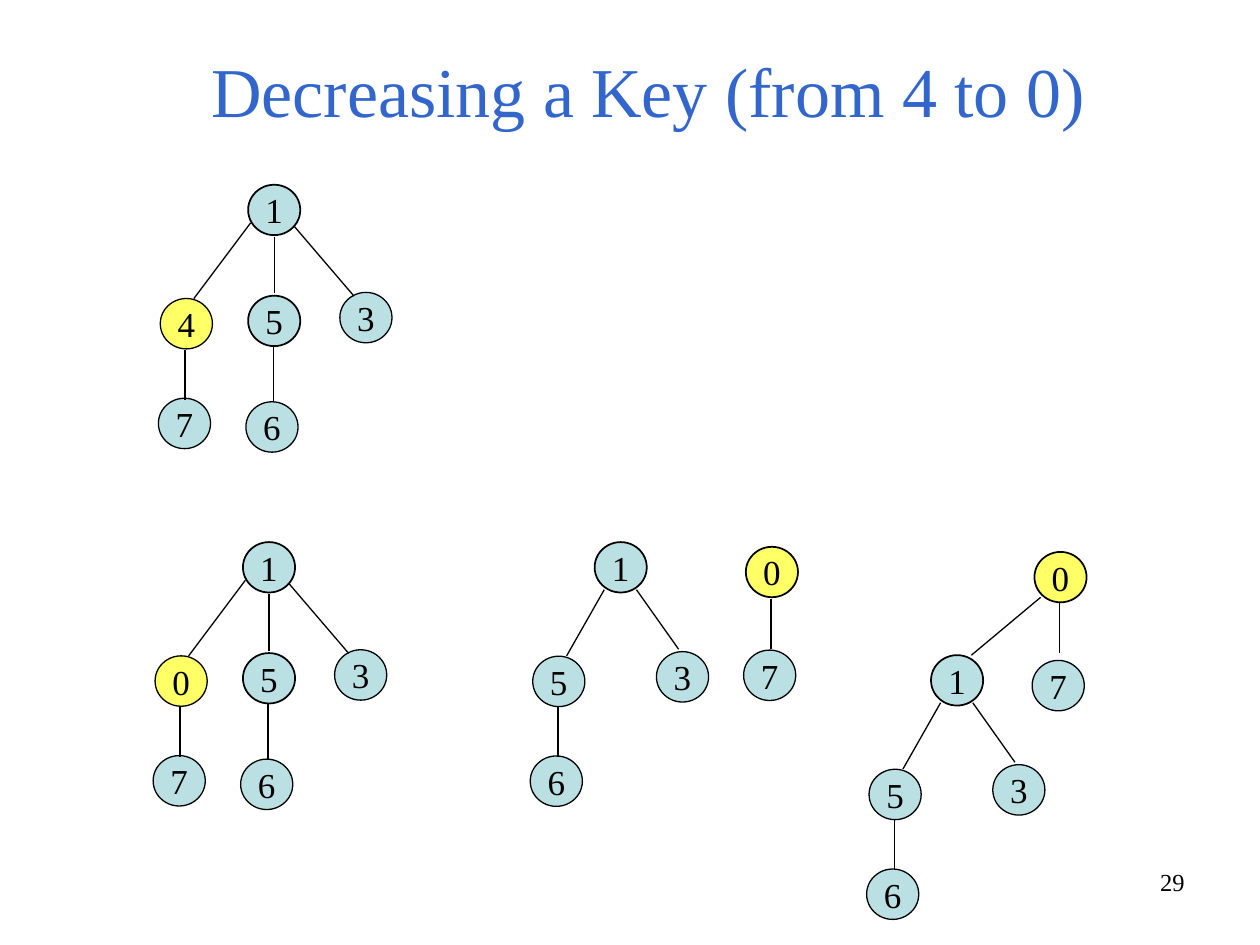
import pptx
import pptx.dml.color
import pptx.enum.shapes
import pptx.enum.text
import pptx.oxml
import pptx.util

Pt = pptx.util.Pt
ALIGN = pptx.enum.text.PP_ALIGN
ANCHOR = pptx.enum.text.MSO_ANCHOR
NODE_WIDTH, NODE_HEIGHT = 29.8, 28.8
BLUE, YELLOW, BLACK = "BBE0E3", "FFFF66", "000000"


def rgb(value):
    return pptx.dml.color.RGBColor.from_string(value)


def write(frame, text, size, color, align):
    """Put one formatted run into the first paragraph of a text frame."""
    para = frame.paragraphs[0]
    para.alignment = align
    span = para.add_run()
    span.text = text
    span.font.name = "Times New Roman"
    span.font.size = Pt(size)
    span.font.color.rgb = rgb(color)


deck = pptx.Presentation()
deck.slide_width, deck.slide_height = Pt(720), Pt(540)
page = deck.slides.add_slide(deck.slide_layouts[5])

title = page.shapes.title
title.left, title.top, title.width, title.height = Pt(54), Pt(25.2), Pt(632.9), Pt(53.3)
title.text_frame.auto_size = pptx.enum.text.MSO_AUTO_SIZE.NONE
title.text_frame.vertical_anchor = ANCHOR.BOTTOM
write(title.text_frame, "Decreasing a Key (from 4 to 0)", 40, "3366CC", ALIGN.CENTER)

number_box = page.shapes.add_textbox(Pt(516.2), Pt(491.8), Pt(167.8), Pt(37.4))
number_box.text_frame.word_wrap = True
write(number_box.text_frame, "29", 14, BLACK, ALIGN.RIGHT)

# Each tree shape: nodes as (key, dx, dy) and edges as (x1, y1, x2, y2),
# measured from the top left corner of its root. "key" is the decreased key.
wide_tree = (
    [("1", 0, 0), ("key", -50.2, 65), ("7", -51.3, 122), ("3", 52.4, 61.5),
     ("5", 0, 63.4), ("6", -1.3, 124)],
    [(-36, 94.3, -36, 123), (1.4, 21.8, -31, 65), (26.6, 24, 60.5, 63.6),
     (14.4, 92.4, 14.4, 124), (15, 29.7, 15, 62)],
)
cut_tree = (
    [("1", 0, 0), ("5", -35.4, 65.2), ("6", -36.8, 122.2), ("3", 35.3, 62.6)],
    [(-21, 94.3, -21, 123), (5.5, 27.2, -16, 65), (23.9, 27.2, 48, 61.2)],
)
key_tree = (
    [("key", 0, 0), ("7", -1.3, 59)],
    [(14.4, 29.5, 14.4, 58.3)],
)
merged_tree = (
    [("key", 0, 0), ("7", -1.3, 62)],
    [(14.4, 29, 14.4, 57.8), (3.6, 25.9, -36, 59)],
)
# Tree shape, root left, root top, value of the decreased key
trees = [
    (wide_tree, 141.8, 105.6, "4"),
    (wide_tree, 138.8, 309.8, "0"),
    (cut_tree, 339.8, 309.8, "0"),
    (key_tree, 426.2, 312.5, "0"),
    (merged_tree, 591.1, 315.4, "0"),
    (cut_tree, 532, 374.4, "0"),
]

for (nodes, edges), left, top, key in trees:
    for label, dx, dy in nodes:
        node = page.shapes.add_shape(
            pptx.enum.shapes.MSO_SHAPE.OVAL,
            Pt(left + dx), Pt(top + dy), Pt(NODE_WIDTH), Pt(NODE_HEIGHT))
        node.shadow.inherit = False
        node.fill.solid()
        node.fill.fore_color.rgb = rgb(YELLOW if label == "key" else BLUE)
        node.line.color.rgb = rgb(BLACK)
        node.line.width = Pt(1 if dx == 0 else 0.75)
        node.text_frame.word_wrap = False
        node.text_frame.vertical_anchor = ANCHOR.MIDDLE
        write(node.text_frame, key if label == "key" else label, 20, BLACK, ALIGN.CENTER)
    for x1, y1, x2, y2 in edges:
        edge = page.shapes.add_connector(
            pptx.enum.shapes.MSO_CONNECTOR.STRAIGHT,
            Pt(left + x1), Pt(top + y1), Pt(left + x2), Pt(top + y2))
        edge.line.color.rgb = rgb(BLACK)
        edge.line.width = Pt(0.75)
        edge.element.spPr.append(pptx.oxml.parse_xml(
            '<a:effectLst xmlns:a="http://schemas.openxmlformats.org/drawingml/2006/main"/>'))

deck.save("out.pptx")
